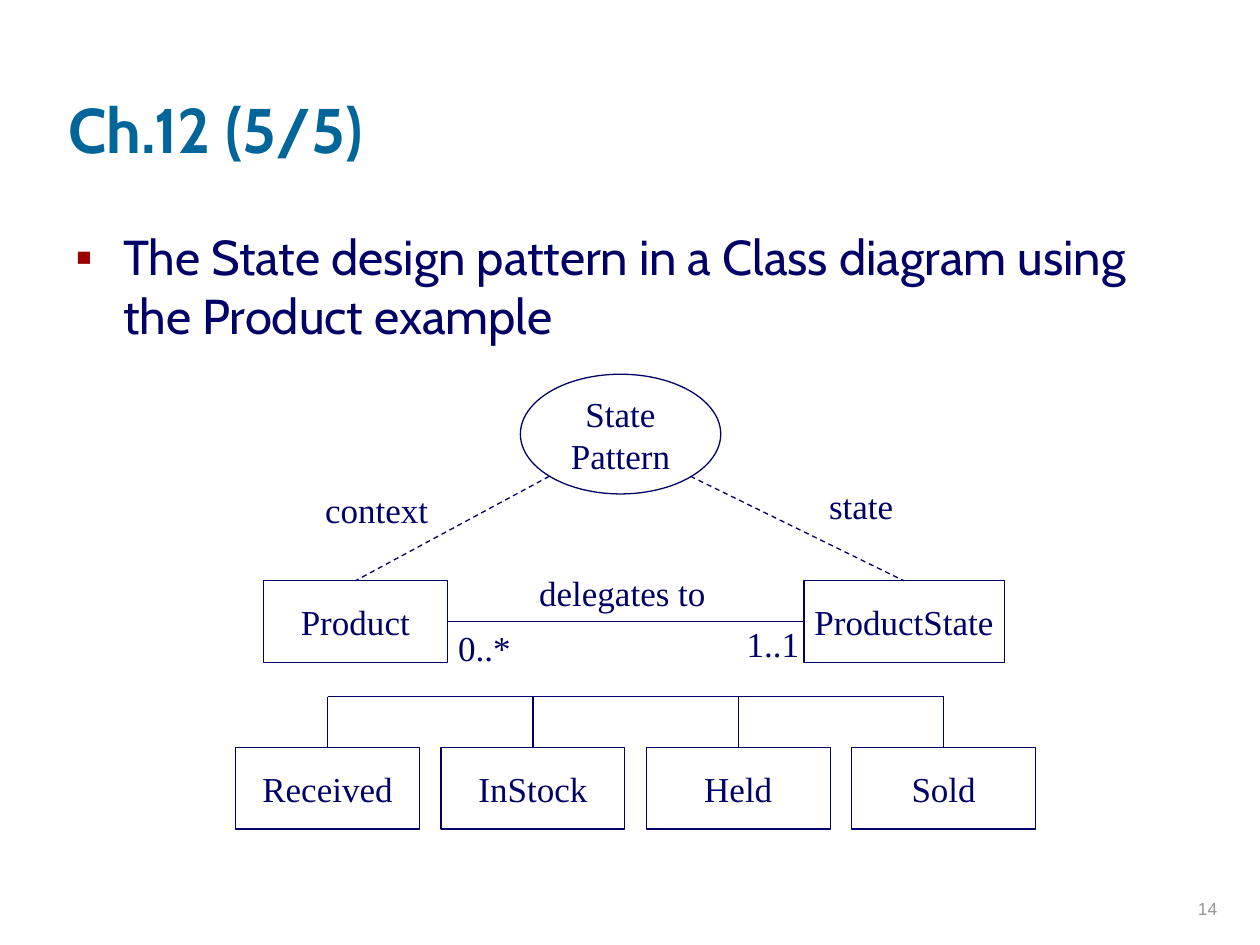
from pptx import Presentation
from pptx import util as u
from pptx.dml.color import RGBColor
from pptx.enum import dml, shapes, text
from pptx.oxml.ns import qn
from lxml import etree

THEME = {
    "title": {"name": "Cabin", "size": 36, "bold": True, "color": "006699"},
    "body": {"name": "Cabin", "size": 28, "bold": False, "color": "000066"},
    "label": {"name": "Times New Roman", "size": 20, "bold": False, "color": "000066"},
    "page": {"name": "Arial", "size": 10, "bold": False, "color": "969696"},
    "line": "000066",
    "mark": "990000",
}
ALIGN = text.PP_ALIGN
ANCHOR = text.MSO_ANCHOR


def write(box, words, style, align, anchor, wrap):
    frame = box.text_frame
    frame.text = words
    form = {"word_wrap": wrap, "vertical_anchor": anchor, "auto_size": text.MSO_AUTO_SIZE.NONE}
    for key, value in form.items():
        setattr(frame, key, value)
    look = THEME[style]
    for para in frame.paragraphs:
        para.alignment = align
        for run in para.runs:
            form = {"name": look["name"], "size": u.Pt(look["size"]), "bold": look["bold"]}
            for key, value in form.items():
                setattr(run.font, key, value)
            run.font.color.rgb = RGBColor.from_string(look["color"])


def link(x1, y1, x2, y2, start=None, end=None, dash=None):
    ends = [u.Inches(n) for n in (x1, y1, x2, y2)]
    line = slide.shapes.add_connector(shapes.MSO_CONNECTOR.STRAIGHT, *ends)
    if start:
        line.begin_connect(*start)
    if end:
        line.end_connect(*end)
    line.line.color.rgb = RGBColor.from_string(THEME["line"])
    line.line.width = u.Pt(0.75)
    if dash:
        line.line.dash_style = dash
    etree.SubElement(line._element.spPr, qn("a:effectLst"))


deck = Presentation()
deck.slide_width, deck.slide_height = u.Inches(10), u.Inches(7.5)
slide = deck.slides.add_slide(deck.slide_layouts[5])

title = slide.shapes.title
place = {"left": 0.44, "top": 0.12, "width": 8.5, "height": 1.25}
for key, value in place.items():
    setattr(title, key, u.Inches(value))
write(title, "Ch.12 (5/5)", "title", ALIGN.LEFT, ANCHOR.BOTTOM, True)

body = slide.shapes.add_textbox(u.Inches(0.5), u.Inches(1.75), u.Inches(8.94), u.Inches(4.88))
write(body, "The State design pattern in a Class diagram using the Product example",
      "body", ALIGN.LEFT, ANCHOR.TOP, True)
props = body.text_frame.paragraphs[0]._p.get_or_add_pPr()
props.set("marL", str(u.Inches(0.38)))
props.set("indent", str(u.Inches(-0.38)))
tint = etree.SubElement(props, qn("a:buClr"))
etree.SubElement(tint, qn("a:srgbClr"), val=THEME["mark"])
etree.SubElement(props, qn("a:buFont"), typeface="Arial")
etree.SubElement(props, qn("a:buChar"), char="▪")

RECT = shapes.MSO_SHAPE.RECTANGLE
step, left, row, wide, high = 1.63, 1.87, 5.93, 1.46, 0.65
states = ["Received", "InStock", "Held", "Sold"]
nodes = [
    ("State\nPattern", shapes.MSO_SHAPE.OVAL, 4.13, 2.97, 1.59, 0.95),
    ("Product", RECT, 2.09, 4.61, wide, high),
    ("ProductState", RECT, 6.38, 4.61, 1.59, high),
]
nodes += [(name, RECT, left + i * step, row, wide, high) for i, name in enumerate(states)]
made = {}
for name, kind, *area in nodes:
    node = slide.shapes.add_shape(kind, *[u.Inches(n) for n in area])
    node.shadow.inherit = False
    node.fill.background()
    node.line.color.rgb = RGBColor.from_string(THEME["line"])
    node.line.width = u.Pt(0.75)
    write(node, name, "label", ALIGN.CENTER, ANCHOR.MIDDLE, False)
    made[name] = node

owner, state = made["Product"], made["ProductState"]
dash = dml.MSO_LINE.DASH
link(3.55, 4.93, 6.38, 4.93, (owner, 3), (state, 1))
link(4.36, 3.78, 2.82, 4.61, end=(owner, 0), dash=dash)
link(5.48, 3.78, 7.17, 4.61, end=(state, 0), dash=dash)

bus = 5.53
mids = [left + wide / 2 + i * step for i in range(len(states))]
link(mids[0], bus, mids[-1], bus)
for name, mid in zip(states, mids):
    link(mid, bus, mid, row, end=(made[name], 0))

labels = [
    ("context", 2.48, 3.83, 1.02),
    ("state", 6.48, 3.8, 0.71),
    ("0..*", 3.54, 4.92, 0.61),
    ("1..1", 5.83, 4.89, 0.61),
    ("delegates to", 4.18, 4.49, 1.52),
]
for words, x, y, w in labels:
    box = slide.shapes.add_textbox(u.Inches(x), u.Inches(y), u.Inches(w), u.Inches(0.44))
    write(box, words, "label", ALIGN.CENTER, ANCHOR.TOP, False)

page = slide.shapes.add_textbox(u.Inches(7.68), u.Inches(6.84), u.Inches(2.08), u.Inches(0.5))
write(page, "14", "page", ALIGN.RIGHT, ANCHOR.BOTTOM, True)

deck.save("out.pptx")
